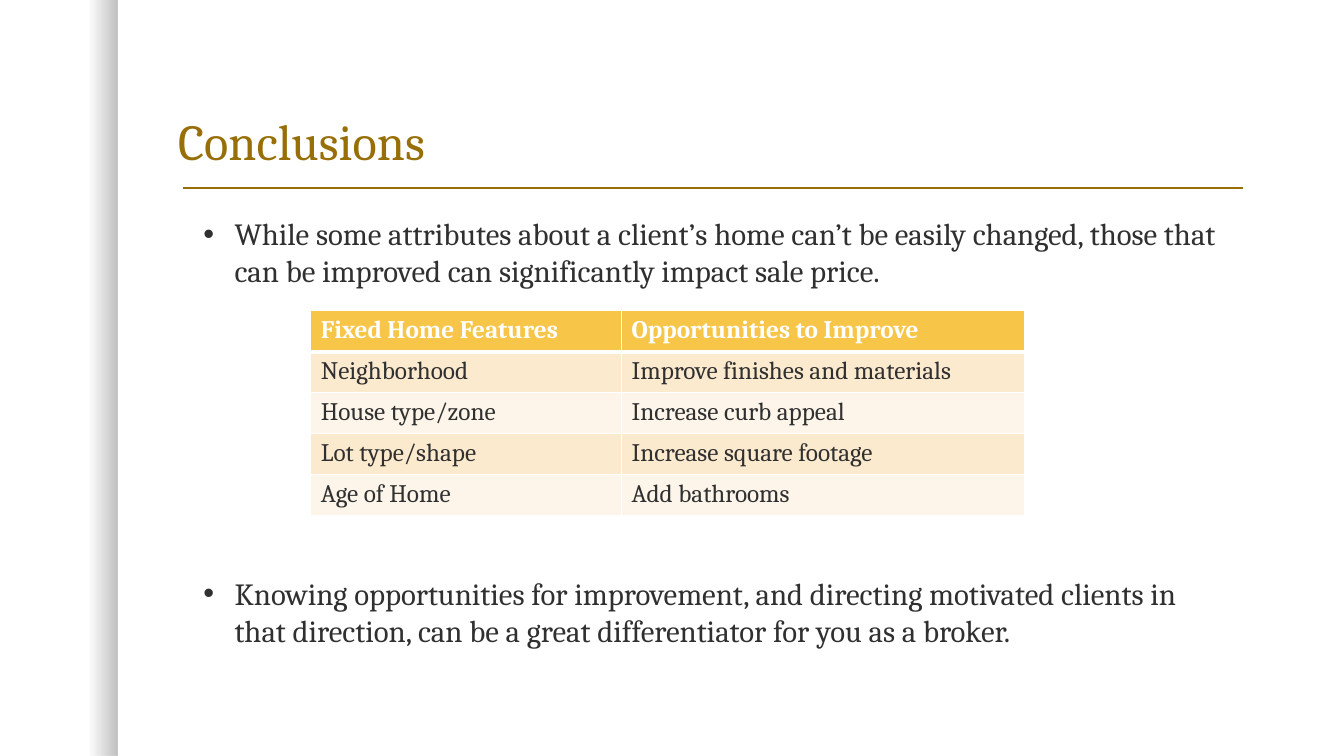
from dataclasses import dataclass

import pptx
import pptx.dml.color
import pptx.enum.shapes
import pptx.enum.text
import pptx.oxml
import pptx.oxml.ns
import pptx.util

COLORS = {
    "title": "986F07",
    "text": "303030",
    "header": "F7C547",
    "band_dark": "FCEACF",
    "band_light": "FDF5E9",
    "white": "FFFFFF",
    "shade": "000000",
}
FONT = "Cambria"
GRID_COLS, GRID_ROWS = 160, 90
SLIDE_W, SLIDE_H = pptx.util.Inches(13.33), pptx.util.Inches(7.5)


@dataclass
class Box:
    col: float
    row: float
    cols: float
    rows: float


@dataclass
class Bullet:
    text: str
    before: float


@dataclass
class TableRow:
    fixed: str
    opportunity: str


SHADE = Box(0, 0, 14, 90)
TITLE = Box(20, 5, 129, 16)
BODY = Box(23, 25, 123, 60.25)
TABLE = Box(37, 37, 85, 24.4)
TABLE_COLS = (37, 48)
RULE = Box(21.75, 22.4, 126.25, 0)

BULLETS = [
    Bullet("While some attributes about a client’s home can’t be easily changed, "
           "those that can be improved can significantly impact sale price.", 0),
    Bullet("Knowing opportunities for improvement, and directing motivated clients "
           "in that direction, can be a great differentiator for you as a broker.", 192),
]
ROWS = [
    TableRow("Fixed Home Features", "Opportunities to Improve"),
    TableRow("Neighborhood", "Improve finishes and materials"),
    TableRow("House type/zone", "Increase curb appeal"),
    TableRow("Lot type/shape", "Increase square footage"),
    TableRow("Age of Home", "Add bathrooms"),
]


def x(cols: float) -> int:
    return round(SLIDE_W * cols / GRID_COLS)


def y(rows: float) -> int:
    return round(SLIDE_H * rows / GRID_ROWS)


def place(box: Box) -> tuple[int, int, int, int]:
    return x(box.col), y(box.row), x(box.cols), y(box.rows)


def rgb(name: str) -> pptx.dml.color.RGBColor:
    return pptx.dml.color.RGBColor.from_string(COLORS[name])


def add_run(p, text: str, size: float, color: str, bold: bool = False) -> None:
    r = p.add_run()
    r.text = text
    r.font.name = FONT
    r.font.size = pptx.util.Pt(size)
    r.font.bold = bold
    r.font.color.rgb = rgb(color)


def add_shade(s) -> None:
    sp = s.shapes.add_shape(pptx.enum.shapes.MSO_SHAPE.RECTANGLE, *place(SHADE))
    sp.shadow.inherit = False
    sp.line.fill.background()
    sp.fill.gradient()
    sp.fill.gradient_angle = 0
    for stop, position, opacity in zip(sp.fill.gradient_stops, (0.75, 1), (0, 25)):
        stop.position = position
        stop.color.rgb = rgb("shade")
    colors = sp.fill._xPr.findall(".//" + pptx.oxml.ns.qn("a:srgbClr"))
    for clr, opacity in zip(colors, (0, 25)):
        alpha = clr.makeelement(pptx.oxml.ns.qn("a:alpha"), {"val": str(opacity * 1000)})
        clr.append(alpha)


def add_rule(s) -> None:
    left, top, width, height = place(RULE)
    line = s.shapes.add_connector(pptx.enum.shapes.MSO_CONNECTOR.STRAIGHT,
                                  left, top, left + width, top + height)
    line.line.color.rgb = rgb("title")
    line.line.width = pptx.util.Pt(1)
    sp_pr = line._element.spPr
    sp_pr.append(sp_pr.makeelement(pptx.oxml.ns.qn("a:effectLst"), {}))


def fill_title(sp) -> None:
    sp.left, sp.top, sp.width, sp.height = place(TITLE)
    tf = sp.text_frame
    tf.auto_size = pptx.enum.text.MSO_AUTO_SIZE.NONE
    tf.vertical_anchor = pptx.enum.text.MSO_ANCHOR.BOTTOM
    p = tf.paragraphs[0]
    p.alignment = pptx.enum.text.PP_ALIGN.LEFT
    p.line_spacing = 0.9
    add_run(p, "Conclusions", 36, "title")


def fill_body(sp) -> None:
    sp.left, sp.top, sp.width, sp.height = place(BODY)
    tf = sp.text_frame
    tf.auto_size = pptx.enum.text.MSO_AUTO_SIZE.NONE
    indent = pptx.util.Inches(0.31)
    for i, bullet in enumerate(BULLETS):
        p = tf.add_paragraph() if i else tf.paragraphs[0]
        p_pr = p._p.get_or_add_pPr()
        p_pr.set("marL", str(indent))
        p_pr.set("indent", str(-indent))
        p_pr.append(p_pr.makeelement(pptx.oxml.ns.qn("a:buChar"), {"char": "•"}))
        p.space_before = pptx.util.Pt(bullet.before)
        p.space_after = pptx.util.Pt(12)
        add_run(p, bullet.text, 22, "text")


def add_border(cell, side: str, width: float) -> None:
    cell._tc.get_or_add_tcPr().append(pptx.oxml.parse_xml(
        f'<a:ln{side} {pptx.oxml.ns.nsdecls("a")} w="{pptx.util.Pt(width)}">'
        f'<a:solidFill><a:srgbClr val="{COLORS["white"]}"/></a:solidFill></a:ln{side}>'))


def add_features_table(s) -> None:
    table = s.shapes.add_table(len(ROWS), len(TABLE_COLS), *place(TABLE)).table
    for column, cols in zip(table.columns, TABLE_COLS):
        column.width = x(cols)
    for i, row in enumerate(ROWS):
        header = i == 0
        fill = "header" if header else ("band_dark" if i % 2 else "band_light")
        widths = {"L": 1, "R": 1, "T": 3 if i == 1 else 1, "B": 3 if header else 1}
        for j, text in enumerate((row.fixed, row.opportunity)):
            cell = table.cell(i, j)
            for side, width in widths.items():
                add_border(cell, side, width)
            cell.fill.solid()
            cell.fill.fore_color.rgb = rgb(fill)
            add_run(cell.text_frame.paragraphs[0], text, 18,
                    "white" if header else "text", header)


def main() -> None:
    prs = pptx.Presentation()
    prs.slide_width, prs.slide_height = SLIDE_W, SLIDE_H
    s = prs.slides.add_slide(prs.slide_layouts[1])
    fill_title(s.shapes.title)
    fill_body(s.placeholders[1])
    add_shade(s)
    add_rule(s)
    add_features_table(s)
    prs.save("out.pptx")


if __name__ == "__main__":
    main()
